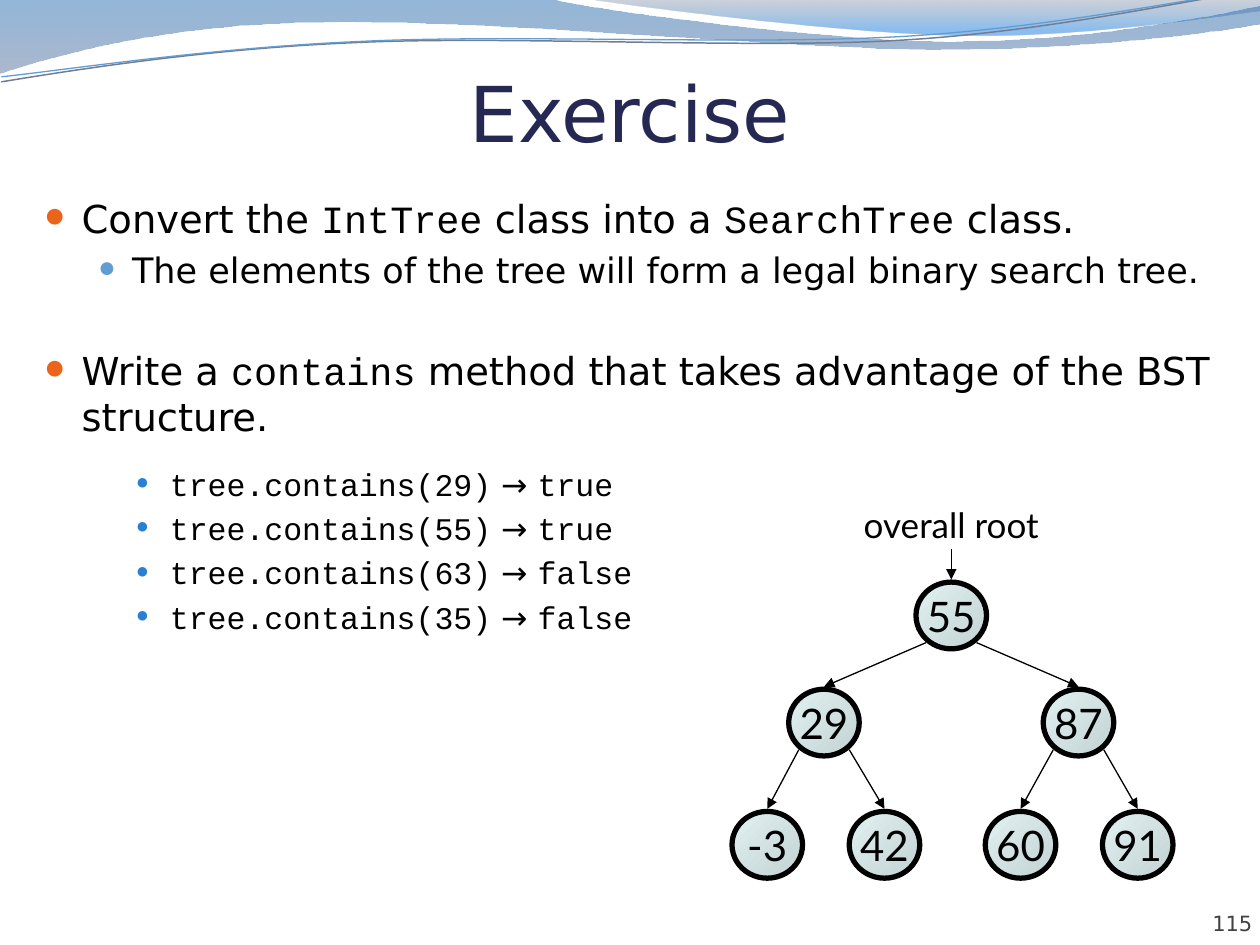
"""Build the binary search tree exercise slide."""
from dataclasses import dataclass
from math import cos, radians, sin

from lxml import etree
from pptx import Presentation
from pptx.dml.color import RGBColor
from pptx.enum.shapes import MSO_CONNECTOR, MSO_SHAPE
from pptx.enum.text import MSO_ANCHOR, MSO_AUTO_SIZE, PP_ALIGN
from pptx.oxml.ns import qn
from pptx.util import Inches, Pt

ELLIPSE = MSO_SHAPE.OVAL
STRAIGHT = MSO_CONNECTOR.STRAIGHT
CENTER, RIGHT = PP_ALIGN.CENTER, PP_ALIGN.RIGHT
TOP, MIDDLE, BOTTOM = MSO_ANCHOR.TOP, MSO_ANCHOR.MIDDLE, MSO_ANCHOR.BOTTOM
FIXED_SIZE = MSO_AUTO_SIZE.NONE

SANS, CODE, LABEL = "DejaVu Sans", "Courier New", "Lato"
COLORS = {
    "text": "000000", "title": "242852", "number": "424242",
    "bullet0": "EB641B", "bullet1": "629DD1", "bullet2": "297FD5",
    "wave_blue": "125EAA", "wave_slate": "697FA4",
    "crest_slate": "596982", "crest_blue": "0670DA",
    "strand_gray": "707E95", "strand_blue": "629DD1",
    "node_light": "E1F2F3", "node_dark": "C3D2D3",
}
NODE_WIDTH, NODE_HEIGHT = 0.56, 0.53
STRAND_TILT, STRAND_CENTER = 2.7, (5.01, 0.3)


@dataclass(frozen=True)
class Stop:
    color: str
    position: float
    opacity: int = 100


@dataclass(frozen=True)
class Wave:
    start: tuple
    segments: list
    stops: tuple = ()
    line: str = ""
    width: float = 0


@dataclass(frozen=True)
class Level:
    size: int
    margin: float
    indent: float
    bullet_size: int


@dataclass(frozen=True)
class Item:
    level: int
    before: float
    spans: tuple


@dataclass(frozen=True)
class Node:
    label: str
    center: float
    top: float
    children: tuple = ()


WAVES = [
    Wave((0, 0), [((4.4, 0),),
                  ((4.76, 0.09), (6.64, 0.33), (7.58, 0.33)),
                  ((8.53, 0.33), (9.58, 0.14), (10, 0.05)), ((10.01, 0.19),),
                  ((9.83, 0.23), (8.7, 0.39), (7.46, 0.39)),
                  ((6.22, 0.39), (3.82, 0.15), (2.57, 0.18)),
                  ((1.29, 0.19), (0.46, 0.43), (-0.01, 0.58)), ((0, 0),)],
         stops=(Stop("wave_blue", 0, 45), Stop("wave_slate", 1, 55))),
    Wave((4.67, 0), [((4.98, 0.05), (6.74, 0.27), (7.63, 0.28)),
                     ((8.52, 0.3), (9.61, 0.14), (10, 0.09)), ((10, 0),), ((4.67, 0),)],
         stops=(Stop("crest_slate", 0, 30), Stop("crest_blue", 0.8, 45))),
    Wave((0.01, 0.65), [((0.5, 0.57), (1.6, 0.39), (2.79, 0.34)),
                        ((3.98, 0.28), (5.93, 0.39), (7.14, 0.32)),
                        ((8.34, 0.25), (9.41, 0), (10, -0.08))],
         line="strand_gray", width=0.85),
    Wave((0.01, 0.61), [((0.49, 0.56), (1.66, 0.38), (2.85, 0.33)),
                        ((4.04, 0.27), (5.97, 0.36), (7.16, 0.29)),
                        ((8.36, 0.22), (9.41, -0.01), (10, -0.08))],
         line="strand_blue", width=0.75),
]
LEVELS = [Level(22, 0.3, -0.3, 95), Level(20, 0.7, -0.27, 85), Level(18, 1, -0.27, 70)]
CALLS = [("29", "true"), ("55", "true"), ("63", "false"), ("35", "false")]
ITEMS = [
    Item(0, 0, (("Convert the ", SANS), ("IntTree", CODE), (" class into a ", SANS),
                ("SearchTree", CODE), (" class.", SANS))),
    Item(1, 4, (("The elements of the tree will form a legal binary search tree.", SANS),)),
    Item(0, 32.4, (("Write a ", SANS), ("contains", CODE),
                   (" method that takes advantage of the BST structure.", SANS))),
] + [
    Item(2, 3.7 if row else 14.5,
         ((f"tree.contains({value})", CODE), (" → ", SANS), (result, CODE)))
    for row, (value, result) in enumerate(CALLS)
]
LEFT_BRANCH = Node("29", 6.54, 5.47, (Node("-3", 6.09, 6.44), Node("42", 7.02, 6.44)))
RIGHT_BRANCH = Node("87", 8.56, 5.47, (Node("60", 8.1, 6.44), Node("91", 9.03, 6.44)))
ROOT = Node("55", 7.55, 4.62, (LEFT_BRANCH, RIGHT_BRANCH))


def color(name: str) -> RGBColor:
    """Look up a named colour."""
    return RGBColor.from_string(COLORS[name])


def set_font(font, size: float, name: str, shade: str = "text") -> None:
    """Format a paragraph font."""
    font.size, font.name = Pt(size), name
    font.color.rgb = color(shade)


def set_gradient(shape, stops: tuple, angle: float) -> None:
    """Fill a shape with two stops, with opacity where it is partial."""
    shape.fill.gradient()
    shape.fill.gradient_angle = angle
    for target, stop in zip(shape.fill.gradient_stops, stops):
        target.color.rgb = color(stop.color)
        target.position = stop.position
    for tint, stop in zip(shape._element.spPr.iter(qn("a:srgbClr")), stops):
        if stop.opacity < 100:
            etree.SubElement(tint, qn("a:alpha"), val=str(stop.opacity * 1000))


def locate(point: tuple, tilt: float) -> tuple:
    """Turn a point about the strand centre and give it as lengths."""
    middle_x, middle_y = STRAND_CENTER
    x, y, angle = point[0] - middle_x, point[1] - middle_y, radians(tilt)
    return (Inches(middle_x + x * cos(angle) - y * sin(angle)),
            Inches(middle_y + x * sin(angle) + y * cos(angle)))


def draw_wave(page, wave: Wave) -> None:
    """Draw one filled wave or one thin tilted strand with cubic curves."""
    tilt = 0 if wave.stops else STRAND_TILT
    segments = [[locate(point, tilt) for point in segment] for segment in wave.segments]
    builder = page.shapes.build_freeform(*locate(wave.start, tilt))
    builder.add_line_segments([segment[-1] for segment in segments], close=bool(wave.stops))
    shape = builder.convert_to_shape()
    for corner, segment in zip(list(shape._element.iter(qn("a:lnTo"))), segments):
        if len(segment) == 3:
            curve = etree.Element(qn("a:cubicBezTo"))
            for x, y in segment:
                etree.SubElement(curve, qn("a:pt"), x=str(x - shape.left), y=str(y - shape.top))
            corner.getparent().replace(corner, curve)
    shape.shadow.inherit = False
    if wave.stops:
        set_gradient(shape, wave.stops, 270)
        shape.line.fill.background()
    else:
        shape.rotation = 360 - tilt
        shape.fill.background()
        shape.line.color.rgb, shape.line.width = color(wave.line), Pt(wave.width)


def place(shape, left: float, top: float, width: float, height: float) -> None:
    """Move and size a shape."""
    shape.left, shape.top = Inches(left), Inches(top)
    shape.width, shape.height = Inches(width), Inches(height)


def set_text(frame, text: str, align, anchor, wrap: bool = True):
    """Write one aligned paragraph and return it."""
    frame.text, frame.word_wrap, frame.vertical_anchor = text, wrap, anchor
    para = frame.paragraphs[0]
    para.alignment = align
    return para


def draw_item(para, item: Item) -> None:
    """Write one bulleted paragraph."""
    level = LEVELS[item.level]
    para.level, para.space_before = item.level, Pt(item.before)
    properties = para._p.get_or_add_pPr()
    properties.set("marL", str(Inches(level.margin)))
    properties.set("indent", str(Inches(level.indent)))
    tint = etree.SubElement(properties, qn("a:buClr"))
    etree.SubElement(tint, qn("a:srgbClr"), val=COLORS[f"bullet{item.level}"])
    etree.SubElement(properties, qn("a:buSzPct"), val=str(level.bullet_size * 1000))
    etree.SubElement(properties, qn("a:buFont"), typeface=CODE)
    etree.SubElement(properties, qn("a:buChar"), char="●")
    set_font(para.font, level.size, SANS)
    for text, name in item.spans:
        span = para.add_run()
        span.text, span.font.name = text, name


def draw_arrow(page, start: tuple, end: tuple) -> None:
    """Draw a thin arrow between two points."""
    arrow = page.shapes.add_connector(STRAIGHT, *map(Inches, start + end))
    arrow.line.color.rgb, arrow.line.width = color("text"), Pt(0.75)
    etree.SubElement(arrow.line._get_or_add_ln(), qn("a:tailEnd"), type="triangle")
    etree.SubElement(arrow._element.spPr, qn("a:effectLst"))


def draw_node(page, node: Node) -> None:
    """Draw a tree node, then its children and the arrows to them."""
    shape = page.shapes.add_shape(ELLIPSE, 0, 0, 0, 0)
    place(shape, node.center - NODE_WIDTH / 2, node.top, NODE_WIDTH, NODE_HEIGHT)
    shape.shadow.inherit = False
    set_gradient(shape, (Stop("node_light", 0), Stop("node_dark", 1)), 315)
    shape.line.color.rgb, shape.line.width = color("text"), Pt(3)
    para = set_text(shape.text_frame, node.label, CENTER, MIDDLE, wrap=False)
    set_font(para.font, 24, LABEL)
    for side, child in zip((-0.2, 0.2), node.children):
        draw_arrow(page, (node.center + side, node.top + 0.48), (child.center, child.top - 0.02))
        draw_node(page, child)


def main() -> None:
    """Assemble and save the deck."""
    deck = Presentation()
    deck.slide_width, deck.slide_height = Inches(10), Inches(7.5)
    page = deck.slides.add_slide(deck.slide_layouts[5])
    for wave in WAVES:
        draw_wave(page, wave)

    title = page.shapes.title
    place(title, 0.5, 0.48, 9, 0.77)
    title.text_frame.auto_size = FIXED_SIZE
    set_font(set_text(title.text_frame, "Exercise", CENTER, BOTTOM).font, 44, SANS, "title")

    body = page.shapes.add_textbox(*map(Inches, (0.25, 1.5, 9.75, 5.67))).text_frame
    body.word_wrap = True
    for index, item in enumerate(ITEMS):
        draw_item(body.add_paragraph() if index else body.paragraphs[0], item)

    number = page.shapes.add_textbox(*map(Inches, (9.11, 7.03, 0.83, 0.4))).text_frame
    set_font(set_text(number, "115", RIGHT, BOTTOM).font, 12, SANS, "number")
    for frame in (title.text_frame, number):
        frame.margin_left = frame.margin_right = frame.margin_bottom = 0

    caption = page.shapes.add_textbox(*map(Inches, (6.75, 3.95, 1.6, 0.43))).text_frame
    set_font(set_text(caption, "overall root", CENTER, TOP, wrap=False).font, 20, LABEL)
    draw_arrow(page, (ROOT.center, 4.36), (ROOT.center, 4.6))
    draw_node(page, ROOT)
    deck.save("out.pptx")


if __name__ == "__main__":
    main()
